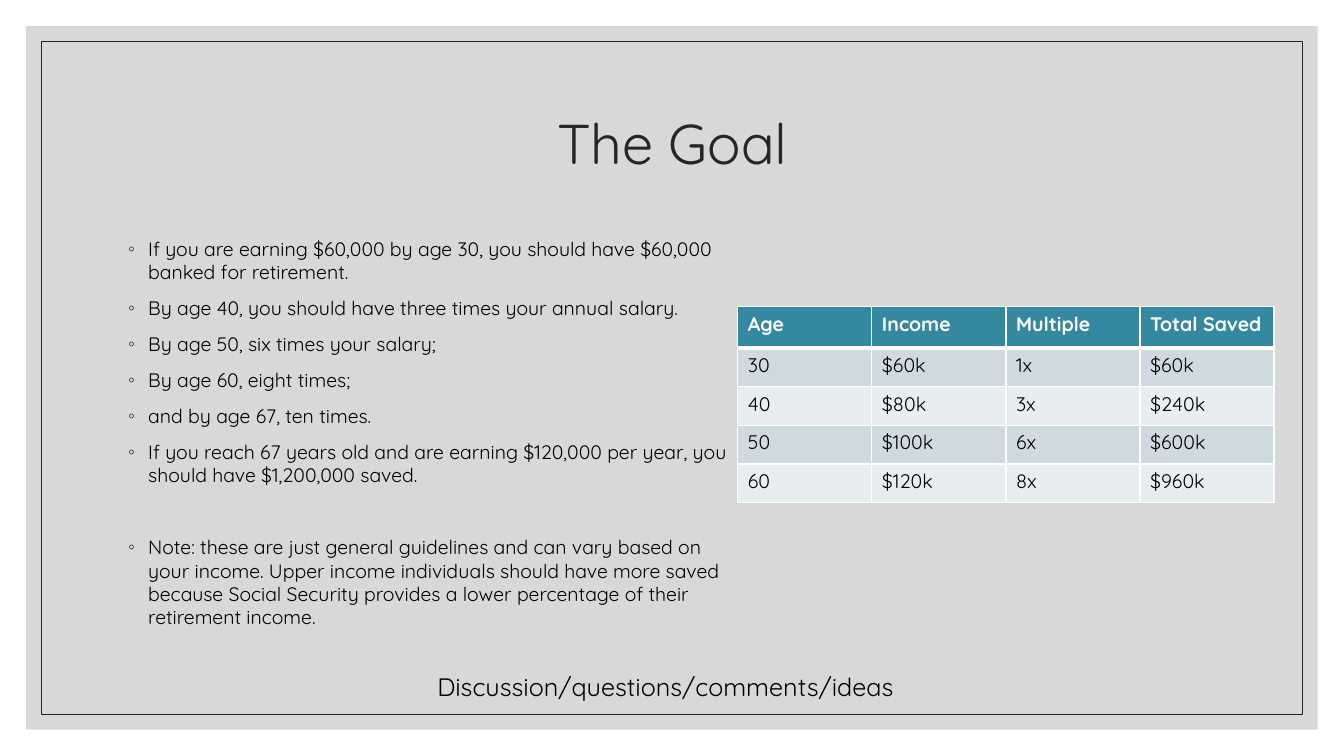
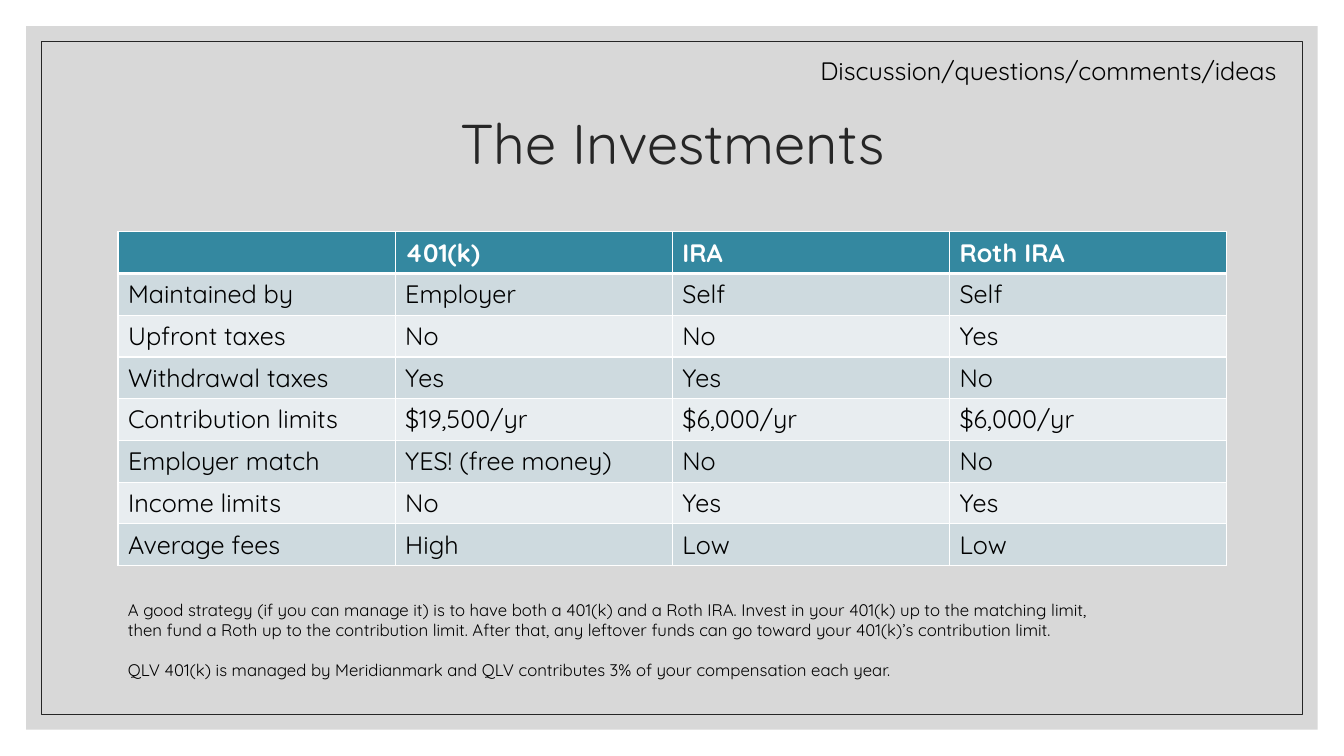
"""Build two retirement planning slides: the savings goal and the investment comparison."""
from dataclasses import dataclass

import lxml.etree
import pptx
import pptx.dml.color
import pptx.enum.shapes
import pptx.enum.text
import pptx.oxml.ns
import pptx.presentation
import pptx.shapes.autoshape
import pptx.slide
import pptx.text.text
import pptx.util

SLIDE_WIDTH = pptx.util.Inches(13.333)
SLIDE_HEIGHT = pptx.util.Inches(7.5)
FONT = "Quicksand"
INK, BLACK, WHITE = "262626", "000000", "FFFFFF"
PANEL_GREY, PANEL_OPACITY = "BFBFBF", 60
HEADER_TEAL = "3488A0"
BANDS = ("CEDADF", "E8EDF0")
DISCUSSION = "Discussion/questions/comments/ideas"


@dataclass(frozen=True)
class Area:
    """A rectangle in percent of the slide's width and height."""

    left: float
    top: float
    width: float
    height: float

    def lengths(self) -> tuple[int, int, int, int]:
        """Return left, top, width and height as slide lengths."""
        return (across(self.left), down(self.top), across(self.width), down(self.height))


@dataclass(frozen=True)
class Line:
    """One paragraph and the space above it in points."""

    text: str
    space_before: float = 0


@dataclass(frozen=True)
class Grid:
    """A banded table whose first row is its header."""

    area: Area
    header_height: float
    size: float
    rows: tuple[tuple[str, ...], ...]


PANEL = Area(1.95, 3.47, 96.1, 93.06)
OUTLINE = Area(3.08, 5.47, 93.84, 89.06)
TITLE = Area(8.78, 9.33, 82.5, 20)
GUIDELINES = Area(8.78, 30.67, 47.17, 56.13)
STRATEGY = Area(8.78, 78.67, 78.15, 12.13)
GOAL_DISCUSSION = Area(31.8, 88.13, 36.45, 5.33)
INVESTMENT_DISCUSSION = Area(60.3, 6.67, 36.45, 5.33)

GUIDELINE_LINES = (
    Line("If you are earning $60,000 by age 30, you should have $60,000 banked for retirement.", 9),
    Line("By age 40, you should have three times your annual salary.", 9),
    Line("By age 50, six times your salary;", 9),
    Line("By age 60, eight times;", 9),
    Line("and by age 67, ten times.", 9),
    Line("If you reach 67 years old and are earning $120,000 per year, "
         "you should have $1,200,000 saved.", 9),
    Line("Note: these are just general guidelines and can vary based on your income. "
         "Upper income individuals should have more saved because Social Security "
         "provides a lower percentage of their retirement income.", 34.7),
)

STRATEGY_LINES = (
    Line("A good strategy (if you can manage it) is to have both a 401(k) and a Roth IRA. "
         "Invest in your 401(k) up to the matching limit,"),
    Line("then fund a Roth up to the contribution limit. After that, any leftover funds "
         "can go toward your 401(k)’s contribution limit."),
    Line("QLV 401(k) is managed by Meridianmark and QLV contributes 3% of your "
         "compensation each year.", 14.4),
)

SAVINGS = Grid(Area(54.9, 40.53, 39.9, 25.99), 5.47, 14, (
    ("Age", "Income", "Multiple", "Total Saved"),
    ("30", "$60k", "1x", "$60k"),
    ("40", "$80k", "3x", "$240k"),
    ("50", "$100k", "6x", "$600k"),
    ("60", "$120k", "8x", "$960k"),
))

INVESTMENTS = Grid(Area(8.78, 30.67, 82.5, 44), 5.5, 18, (
    ("", "401(k)", "IRA", "Roth IRA"),
    ("Maintained by", "Employer", "Self", "Self"),
    ("Upfront taxes", "No", "No", "Yes"),
    ("Withdrawal taxes", "Yes", "Yes", "No"),
    ("Contribution limits", "$19,500/yr", "$6,000/yr", "$6,000/yr"),
    ("Employer match", "YES! (free money)", "No", "No"),
    ("Income limits", "No", "Yes", "Yes"),
    ("Average fees", "High", "Low", "Low"),
))


def across(percent: float) -> int:
    """Return a share of the slide's width."""
    return round(SLIDE_WIDTH * percent / 100)


def down(percent: float) -> int:
    """Return a share of the slide's height."""
    return round(SLIDE_HEIGHT * percent / 100)


def rgb(color: str) -> pptx.dml.color.RGBColor:
    """Turn a hex string into a colour."""
    return pptx.dml.color.RGBColor.from_string(color)


def add_node(parent, tag: str, **attributes: str):
    """Append a drawing element to its parent."""
    return lxml.etree.SubElement(parent, pptx.oxml.ns.qn(tag), attributes)


def style(paragraph, size: float, color: str = BLACK, bold: bool = False) -> None:
    """Set the font of a whole paragraph."""
    font = paragraph.font
    font.name, font.size, font.bold = FONT, pptx.util.Pt(size), bold
    font.color.rgb = rgb(color)


def move(shape, area: Area) -> None:
    """Place a shape on an area of the slide."""
    shape.left, shape.top, shape.width, shape.height = area.lengths()


def add_bullet(paragraph) -> None:
    """Give a paragraph a hanging ring bullet."""
    properties = paragraph._p.get_or_add_pPr()
    indent = pptx.util.Inches(0.2)
    properties.set("marL", str(indent))
    properties.set("indent", str(-indent))
    add_node(add_node(properties, "a:buClr"), "a:srgbClr", val=INK)
    add_node(properties, "a:buChar", char="◦")


def write_lines(frame: pptx.text.text.TextFrame, lines: tuple[Line, ...], size: float,
                bulleted: bool = False) -> None:
    """Fill a text frame with paragraphs."""
    frame.word_wrap = True
    frame.auto_size = pptx.enum.text.MSO_AUTO_SIZE.NONE
    for index, line in enumerate(lines):
        paragraph = frame.add_paragraph() if index else frame.paragraphs[0]
        paragraph.text = line.text
        if bulleted:
            add_bullet(paragraph)
        paragraph.space_before = pptx.util.Pt(line.space_before)
        style(paragraph, size)


def add_note(slide: pptx.slide.Slide, area: Area, lines: tuple[Line, ...], size: float) -> None:
    """Add a free text box."""
    write_lines(slide.shapes.add_textbox(*area.lengths()).text_frame, lines, size)


def set_borders(cell, top: float, bottom: float) -> None:
    """Draw white borders around a cell."""
    properties = cell._tc.get_or_add_tcPr()
    for tag, width in (("a:lnL", 1), ("a:lnR", 1), ("a:lnT", top), ("a:lnB", bottom)):
        border = add_node(properties, tag, w=str(pptx.util.Pt(width)))
        add_node(add_node(border, "a:solidFill"), "a:srgbClr", val=WHITE)


def add_grid(slide: pptx.slide.Slide, grid: Grid) -> None:
    """Add a table with a header and banded rows."""
    row_count, column_count = len(grid.rows), len(grid.rows[0])
    table = slide.shapes.add_table(row_count, column_count, *grid.area.lengths()).table
    table.horz_banding = False
    row_height = (grid.area.height - grid.header_height) / (row_count - 1)
    for column in table.columns:
        column.width = across(grid.area.width / column_count)
    for row, texts in enumerate(grid.rows):
        header = row == 0
        table.rows[row].height = down(grid.header_height if header else row_height)
        for column, text in enumerate(texts):
            cell = table.cell(row, column)
            cell.text = text
            style(cell.text_frame.paragraphs[0], grid.size, WHITE if header else BLACK, header)
            set_borders(cell, 3 if row == 1 else 1, 3 if header else 1)
            cell.fill.solid()
            cell.fill.fore_color.rgb = rgb(HEADER_TEAL if header else BANDS[(row - 1) % 2])


def add_rectangle(slide: pptx.slide.Slide, area: Area) -> pptx.shapes.autoshape.Shape:
    """Add a rectangle without a shadow."""
    rectangle = slide.shapes.add_shape(pptx.enum.shapes.MSO_SHAPE.RECTANGLE, *area.lengths())
    rectangle.shadow.inherit = False
    return rectangle


def frame_master(slide: pptx.slide.Slide) -> None:
    """Put the grey panel and its outline on the slide's master."""
    panel = add_rectangle(slide, PANEL)
    panel.fill.solid()
    panel.fill.fore_color.rgb = rgb(PANEL_GREY)
    panel.line.fill.background()
    tint = panel.element.find(".//" + pptx.oxml.ns.qn("a:srgbClr"))
    add_node(tint, "a:alpha", val=str(PANEL_OPACITY * 1000))
    outline = add_rectangle(slide, OUTLINE)
    outline.fill.background()
    outline.line.color.rgb = rgb(INK)
    outline.line.width = pptx.util.Pt(0.5)
    tree = slide.slide_layout.slide_master.element.cSld.spTree
    for order, part in enumerate((panel, outline)):
        part.element.find(".//" + pptx.oxml.ns.qn("p:cNvPr")).set("id", str(101 + order))
        tree.insert(2 + order, part.element)


def add_titled_slide(deck: pptx.presentation.Presentation, layout: int,
                     title: str) -> pptx.slide.Slide:
    """Add a slide with the shared title style."""
    slide = deck.slides.add_slide(deck.slide_layouts[layout])
    heading = slide.shapes.title
    move(heading, TITLE)
    heading.text_frame.text = title
    heading.text_frame.auto_size = pptx.enum.text.MSO_AUTO_SIZE.NONE
    heading.text_frame.vertical_anchor = pptx.enum.text.MSO_ANCHOR.MIDDLE
    paragraph = heading.text_frame.paragraphs[0]
    paragraph.alignment = pptx.enum.text.PP_ALIGN.CENTER
    paragraph.line_spacing = 0.9
    style(paragraph, 40, INK)
    return slide


def main() -> None:
    """Build and save the presentation."""
    deck = pptx.Presentation()
    deck.slide_width, deck.slide_height = SLIDE_WIDTH, SLIDE_HEIGHT

    goal = add_titled_slide(deck, 1, "The Goal")
    frame_master(goal)
    guidelines = goal.placeholders[1]
    move(guidelines, GUIDELINES)
    write_lines(guidelines.text_frame, GUIDELINE_LINES, 13.9, bulleted=True)
    add_grid(goal, SAVINGS)
    add_note(goal, GOAL_DISCUSSION, (Line(DISCUSSION),), 18)

    investments = add_titled_slide(deck, 5, "The Investments")
    add_grid(investments, INVESTMENTS)
    add_note(investments, STRATEGY, STRATEGY_LINES, 12)
    add_note(investments, INVESTMENT_DISCUSSION, (Line(DISCUSSION),), 18)

    deck.save("out.pptx")


if __name__ == "__main__":
    main()
